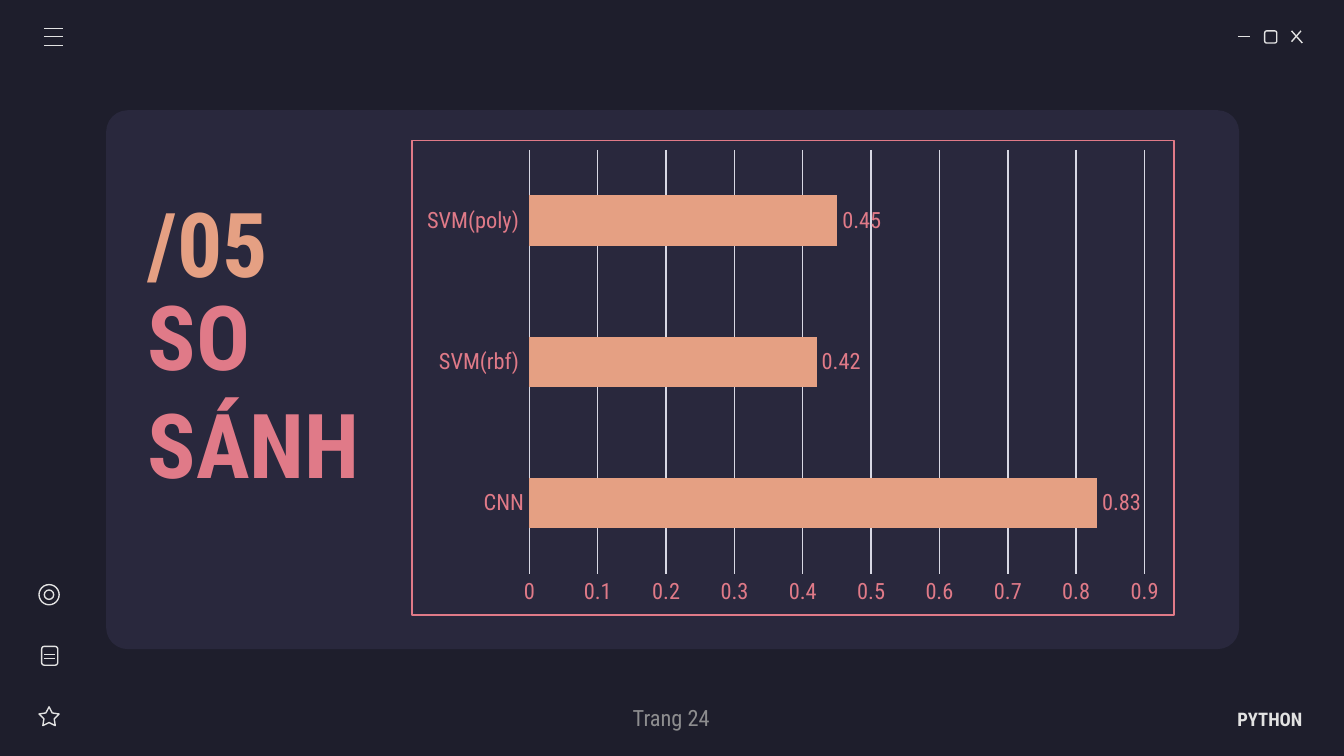
from lxml import etree
from pptx import Presentation
from pptx.chart.data import CategoryChartData
from pptx.dml.color import RGBColor
from pptx.enum.chart import XL_CHART_TYPE, XL_LABEL_POSITION, XL_TICK_MARK
from pptx.enum.shapes import MSO_CONNECTOR, MSO_SHAPE
from pptx.enum.text import MSO_ANCHOR, MSO_AUTO_SIZE, PP_ALIGN
from pptx.oxml import parse_xml
from pptx.oxml.ns import nsdecls, qn
from pptx.util import Inches, Pt

ROUNDED, STAR, OVAL = MSO_SHAPE.ROUNDED_RECTANGLE, MSO_SHAPE.STAR_5_POINT, MSO_SHAPE.OVAL
LEFT, RIGHT = PP_ALIGN.LEFT, PP_ALIGN.RIGHT
FONT = "Roboto Condensed"
NIGHT, CARD, PINK, PEACH = "1E1E2C", "29283D", "E07A88", "E5A083"
ICON, GRID, GREY = "E2E2E2", "D8D8E4", "8D8D8F"

# Content
TITLE = "SO SÁNH"
SCORES = [("CNN", 0.83), ("SVM(rbf) ", 0.42), ("SVM(poly) ", 0.45)]
# text, box, size, colour, bold, alignment, right inset
LABELS = [
    ("/05", (1, 1.34, 1.78, 0.92), 48, PEACH, True, LEFT, 0.1),
    ("PYTHON", (8.52, 5.2, 1.17, 0.3), 10, ICON, True, RIGHT, 0),
    ("Trang 24", (3.13, 5.19, 2.25, 0.3), 12, GREY, False, RIGHT, 0.1),
]
MENU_LINES = [(0.33, y, 0.47, y) for y in (0.21, 0.27, 0.34)]
WINDOW_LINES = [(9.21, 0.27, 9.3, 0.27), (9.61, 0.23, 9.69, 0.32), (9.68, 0.23, 9.61, 0.31)]
NOTE_LINES = [(0.33, y, 0.41, y) for y in (4.87, 4.9)]
ICON_SHAPES = [
    (ROUNDED, (9.41, 0.23, 0.09, 0.09)),
    (OVAL, (0.29, 4.35, 0.15, 0.15)),
    (OVAL, (0.33, 4.39, 0.07, 0.07)),
    (ROUNDED, (0.31, 4.81, 0.12, 0.14)),
    (STAR, (0.29, 5.26, 0.15, 0.14)),
]


def rgb(colour):
    return RGBColor.from_string(colour)


def inches(values):
    return [Inches(v) for v in values]


def style_font(font, size, colour, bold=False):
    font.name, font.size, font.bold = FONT, Pt(size), bold
    font.color.rgb = rgb(colour)


def style_line(line, colour):
    line.color.rgb, line.width = rgb(colour), Pt(0.75)


def write(shape, text, size, colour, bold, align, right_inset=0.1):
    frame = shape.text_frame
    frame.text = text
    frame.word_wrap, frame.auto_size = True, MSO_AUTO_SIZE.NONE
    frame.vertical_anchor = MSO_ANCHOR.MIDDLE
    frame.margin_left = frame.margin_top = frame.margin_bottom = Inches(0.1)
    frame.margin_right = Inches(right_inset)
    paragraph = frame.paragraphs[0]
    paragraph.alignment = align
    style_font(paragraph.runs[0].font, size, colour, bold)


# Widescreen slide, 16 : 9
prs = Presentation()
prs.slide_width = Inches(10)
prs.slide_height = prs.slide_width * 9 // 16
slide = prs.slides.add_slide(prs.slide_layouts[5])
shapes = slide.shapes
slide.background.fill.solid()
slide.background.fill.fore_color.rgb = rgb(NIGHT)

# Card
card = shapes.add_shape(ROUNDED, *inches((0.79, 0.82, 8.43, 4.01)))
card.adjustments[0] = 0.04
card.shadow.inherit = False
card.fill.solid()
card.fill.fore_color.rgb = rgb(CARD)
card.line.fill.background()

# Title, brought in front of the card
title = shapes.title
title.left, title.top, title.width, title.height = inches((1, 2.07, 1.97, 1.64))
write(title, TITLE, 48, PINK, True, LEFT)
card.element.addnext(title.element)

# Section number and footer
for text, box, *look in LABELS:
    write(shapes.add_textbox(*inches(box)), text, *look)

# Score chart
data = CategoryChartData()
data.categories = [name for name, _ in SCORES]
data.add_series("Series 1", [score for _, score in SCORES])
chart = shapes.add_chart(XL_CHART_TYPE.BAR_CLUSTERED, *inches((3.06, 1.04, 5.68, 3.54)), data).chart
chart.has_legend = chart.has_title = False
style_font(chart.font, 10, PINK)

plot = chart.plots[0]
plot.gap_width, plot.vary_by_categories = 182, False
bars = plot.series[0]
bars.format.fill.solid()
bars.format.fill.fore_color.rgb = rgb(PEACH)
score_labels = bars.data_labels
score_labels.show_value = True
score_labels.position = XL_LABEL_POSITION.OUTSIDE_END
style_font(score_labels.font, 12, PINK)

names, values = chart.category_axis, chart.value_axis
for axis in (names, values):
    axis.major_tick_mark = axis.minor_tick_mark = XL_TICK_MARK.NONE
    style_font(axis.tick_labels.font, 12, PINK)
style_line(names.format.line, GRID)
values.format.line.fill.background()
values.minimum_scale, values.maximum_scale, values.major_unit = 0, 0.9, 0.1
values.tick_labels.number_format, values.tick_labels.number_format_is_linked = "General", False
values.has_major_gridlines = True
style_line(values.major_gridlines.format.line, GRID)

# Chart border
border = parse_xml(
    f'<c:spPr {nsdecls("c", "a")}><a:noFill/><a:ln w="{Pt(0.75)}"><a:solidFill>'
    f'<a:srgbClr val="{PINK}"/></a:solidFill></a:ln></c:spPr>')
chart.element.find(qn("c:txPr")).addprevious(border)

# Icons
for kind, box in ICON_SHAPES:
    icon = shapes.add_shape(kind, *inches(box))
    icon.shadow.inherit = False
    icon.fill.background()
    style_line(icon.line, ICON)
    if kind == STAR:
        icon.adjustments[0] = 0.254

for ends in MENU_LINES + WINDOW_LINES + NOTE_LINES:
    stroke = shapes.add_connector(MSO_CONNECTOR.STRAIGHT, *inches(ends))
    style_line(stroke.line, ICON)
    etree.SubElement(stroke.element.spPr, qn("a:effectLst"))

prs.save("out.pptx")
